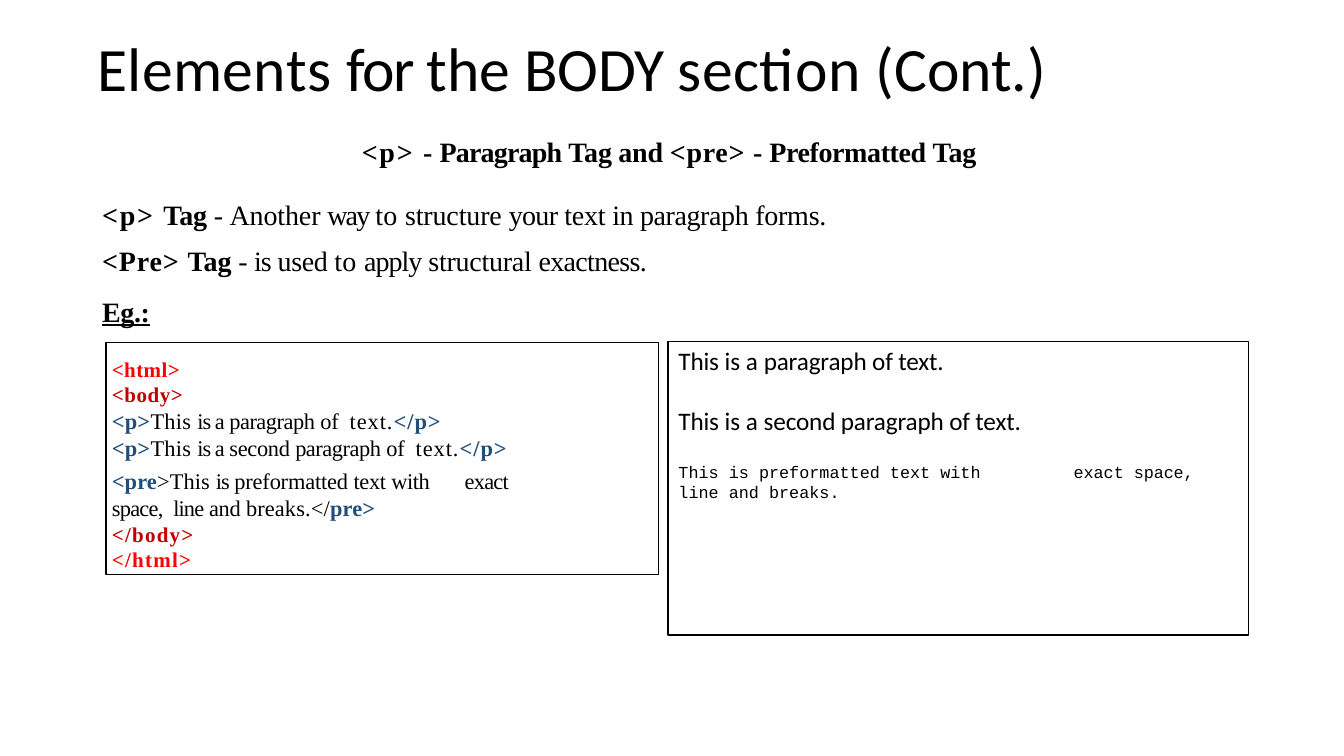
import pptx
import pptx.util
import pptx.dml.color
import pptx.enum.shapes
import pptx.enum.text
from lxml import etree
from pptx.oxml.ns import qn

Pt = pptx.util.Pt
BLACK, RED, DARK_RED, BLUE = "000000", "FF0000", "C00000", "1F4E79"
SERIF, SANS, MONO = "Times New Roman", "Calibri", "Courier New"


def rgb(color):
    return pptx.dml.color.RGBColor.from_string(color)


def prepare_frame(shape, top_inset=1):
    frame = shape.text_frame
    frame.word_wrap = True
    frame.auto_size = pptx.enum.text.MSO_AUTO_SIZE.NONE
    frame.margin_left = frame.margin_right = frame.margin_bottom = 0
    frame.margin_top = Pt(top_inset)
    frame.vertical_anchor = pptx.enum.text.MSO_ANCHOR.TOP
    return frame


def add_runs(paragraph, runs):
    """Add runs given as (text, letter spacing, bold, colour); the last two are optional."""
    for text, spacing, *style in runs:
        run = paragraph.add_run()
        run.text = text
        if spacing:
            run._r.get_or_add_rPr().set("spc", str(round(spacing * 100)))
        if style:
            run.font.bold = style[0]
        if len(style) > 1:
            run.font.color.rgb = rgb(style[1])


def write_paragraph(frame, runs, font, size, color=BLACK, bold=False,
                    indent=0, before=0, line=None, right=0, tab=None):
    """Fill the empty first paragraph of the frame, or add one after the others."""
    paragraph = frame.paragraphs[0]
    if paragraph.runs:
        paragraph = frame.add_paragraph()
    properties = paragraph._p.get_or_add_pPr()
    properties.set("marL", str(Pt(indent)))
    properties.set("marR", str(Pt(right)))
    properties.set("indent", "0")
    if tab:
        tabs = etree.SubElement(properties, qn("a:tabLst"))
        etree.SubElement(tabs, qn("a:tab"), pos=str(Pt(tab)), algn="l")
    paragraph.alignment = pptx.enum.text.PP_ALIGN.LEFT
    paragraph.space_before = Pt(before)
    if line:
        paragraph.line_spacing = Pt(line)
    paragraph.font.name = font
    paragraph.font.size = Pt(size)
    paragraph.font.bold = bold
    paragraph.font.color.rgb = rgb(color)
    add_runs(paragraph, runs)
    return paragraph


def add_text(slide, left, top, width, height):
    return prepare_frame(slide.shapes.add_textbox(Pt(left), Pt(top), Pt(width), Pt(height)))


def add_frame_box(slide, left, top, width, height):
    box = slide.shapes.add_shape(pptx.enum.shapes.MSO_SHAPE.RECTANGLE,
                                 Pt(left), Pt(top), Pt(width), Pt(height))
    box.shadow.inherit = False
    box.fill.background()
    box.line.color.rgb = rgb(BLACK)
    box.line.width = Pt(1)
    return box


def add_title(slide):
    title = slide.shapes.title
    title.left, title.top, title.width, title.height = Pt(68.4), Pt(20.2), Pt(832), Pt(54)
    frame = prepare_frame(title)
    frame.vertical_anchor = pptx.enum.text.MSO_ANCHOR.MIDDLE
    write_paragraph(frame, [("Elements ", 0.3), ("for ", -1.2), ("the ", 0), ("BODY ", -0.3),
                            ("section ", 0.3), ("(Cont.)", -0.1)], SANS, 44, indent=1)


def add_explanation(slide):
    frame = add_text(slide, 72, 95, 630, 142)
    write_paragraph(frame, [("<p> ", 1.2), ("- ", 0), ("Paragraph ", -0.6), ("Tag and ", -0.2),
                            ("<pre> ", 0.5), ("- ", 0), ("Preformatted ", -0.3), ("Tag", -0.2)],
                    SERIF, 20, bold=True, indent=186.5)
    write_paragraph(frame, [("<p> ", 1.2, True), ("Tag ", -0.2, True), ("- ", -0.4),
                            ("Another ", -0.1), ("way ", -1.4), ("to ", 0.2),
                            ("structure ", -0.1), ("your ", -0.5), ("text ", -0.2),
                            ("in ", -0.4), ("paragraph ", -0.3), ("forms.", -0.2)],
                    SERIF, 20, indent=1, before=21.4)
    write_paragraph(frame, [("<Pre> ", 0.6, True), ("Tag ", -0.1, True), ("- ", -0.4),
                            ("is ", -0.8), ("used ", -0.3), ("to ", 0.2), ("apply ", -0.7),
                            ("structural ", -0.2), ("exactness.", -0.5)],
                    SERIF, 20, indent=1, before=8.7)
    example = write_paragraph(frame, [("Eg.:", -0.3)], SERIF, 20, bold=True, indent=1, before=12)
    example.font.underline = True


def add_code(slide):
    frame = prepare_frame(add_frame_box(slide, 75.6, 244.8, 394.6, 165.6), 10)

    def write_tag(text, color, spacing, **layout):
        write_paragraph(frame, [(text, spacing)], SERIF, 15, color, True, indent=4.3, **layout)

    def write_code(runs, **layout):
        write_paragraph(frame, runs, SERIF, 16, indent=4.3, line=19.2, **layout)

    write_tag("<html>", RED, 0.3)
    write_tag("<body>", DARK_RED, 0.4, line=18)
    for middle in ([], [("second ", -0.2)]):
        write_code([("<p>", 0.2, True, BLUE), ("This ", 0.2), ("is a ", -0.7), *middle,
                    ("paragraph ", -0.3), ("of  ", -0.1), ("text.", 0.7),
                    ("</p>", 0.7, True, BLUE)])
    write_code([("<pre", 0.1, True, BLUE), (">This ", 0.1), ("is ", -0.7),
                ("preformatted ", -0.1), ("text ", -0.2), ("with\t", -0.3),
                ("exact space,  ", -0.5), ("line ", -0.6), ("and ", -0.2),
                ("breaks.</", 0.1), ("pre>", 0.1, True, BLUE)],
               before=4.8, right=80, tab=260.6)
    write_tag("</body>", DARK_RED, 0.9, line=18)
    write_tag("</html>", RED, 0.9, line=18)


def add_result(slide):
    add_frame_box(slide, 477.2, 243.9, 414.7, 209.8)
    for top, width, ending in ((245.5, 193, "paragraph of text."),
                               (288.7, 255, "second paragraph of text.")):
        write_paragraph(add_text(slide, 484.6, top, width, 23),
                        [("This ", -0.1), ("is a ", 0), (ending, -0.1)], SANS, 18)
    write_paragraph(add_text(slide, 766.8, 329, 90, 16), [("exact ", 0), ("space,", -0.1)], MONO, 12)
    preformatted = add_text(slide, 484.6, 329, 220, 30)
    for text in ("This is preformatted text with", "line and breaks."):
        write_paragraph(preformatted, [(text, 0)], MONO, 12)


def main():
    presentation = pptx.Presentation()
    presentation.slide_width, presentation.slide_height = Pt(960), Pt(540)
    slide = presentation.slides.add_slide(presentation.slide_layouts[5])
    add_title(slide)
    add_explanation(slide)
    add_code(slide)
    add_result(slide)
    presentation.save("out.pptx")


if __name__ == "__main__":
    main()
